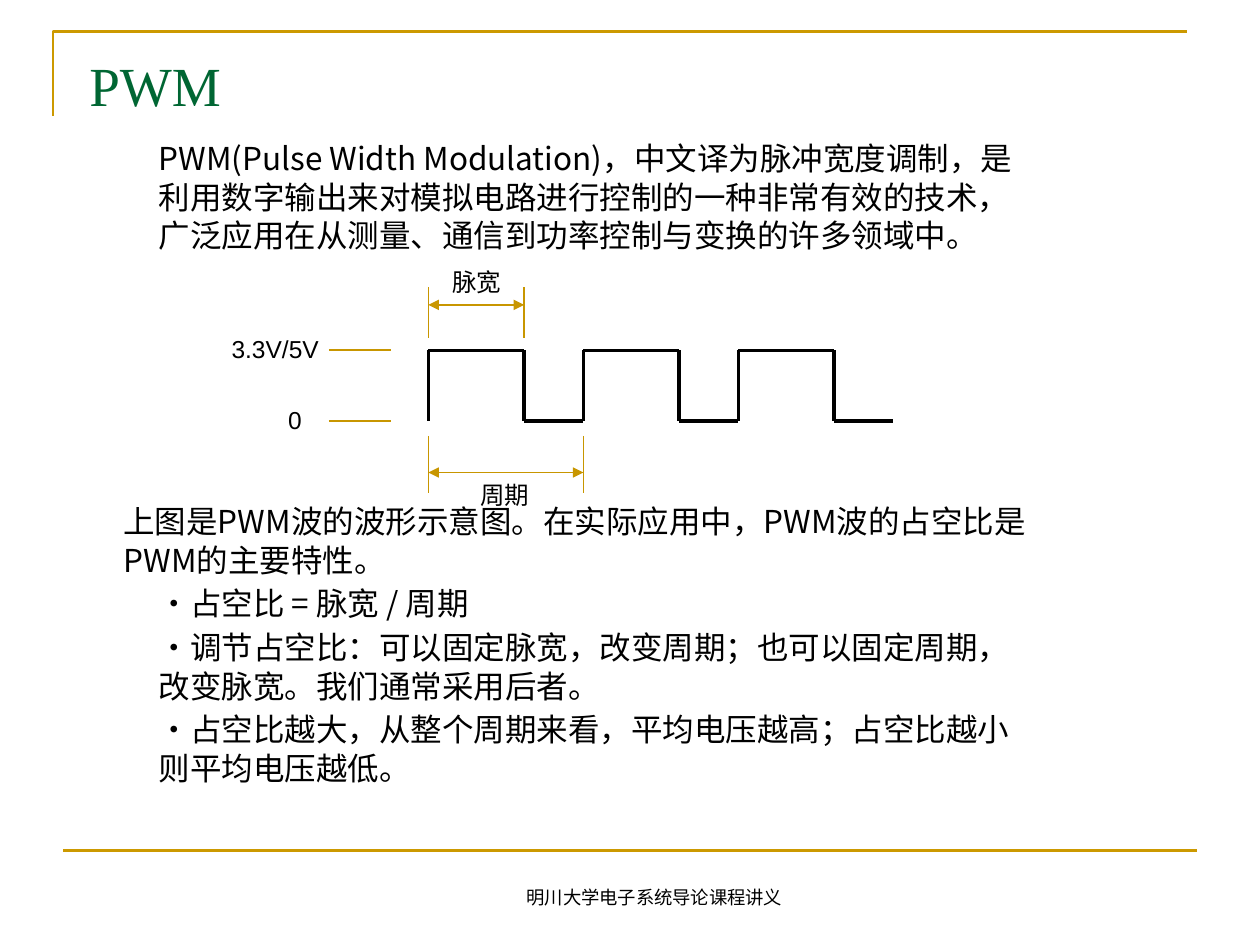
from lxml import etree
from pptx import Presentation
from pptx import util as u
from pptx.dml.color import RGBColor
from pptx.enum import shapes, text
from pptx.oxml.ns import qn

GOLD, AMBER, BLACK, GREEN = "CC9900", "C89600", "000000", "006633"
SANS, CJK, SERIF = "Arial", "Noto Sans CJK SC", "Times New Roman"

INTRO = ["PWM(Pulse Width Modulation)，中文译为脉冲宽度调制，是利用数字输出来对模拟电路进行控制的一种非常有效的技术，广泛应用在从测量、通信到功率控制与变换的许多领域中。"]
SUMMARY = ["上图是PWM波的波形示意图。在实际应用中，PWM波的占空比是PWM的主要特性。"]
POINTS = [
    "·占空比 = 脉宽 / 周期",
    "·调节占空比：可以固定脉宽，改变周期；也可以固定周期，改变脉宽。我们通常采用后者。",
    "·占空比越大，从整个周期来看，平均电压越高；占空比越小则平均电压越低。",
]


def color(value):
    return RGBColor.from_string(value)


class SlideBuilder:
    """Hold the slide and its style, and draw each kind of element."""

    def __init__(self, slide):
        self.slide = slide

    def line(self, x1, y1, x2, y2, stroke=AMBER, width=1, arrows=False):
        connector = self.slide.shapes.add_connector(
            shapes.MSO_CONNECTOR.STRAIGHT,
            u.Inches(x1), u.Inches(y1), u.Inches(x2), u.Inches(y2))
        connector.line.color.rgb = color(stroke)
        connector.line.width = u.Pt(width)
        if arrows:
            outline = connector.line._get_or_add_ln()
            for end in ("a:headEnd", "a:tailEnd"):
                etree.SubElement(outline, qn(end), type="triangle")
        etree.SubElement(connector._element.spPr, qn("a:effectLst"))

    def outline(self, points, stroke, width):
        start, *rest = [(u.Inches(x), u.Inches(y)) for x, y in points]
        builder = self.slide.shapes.build_freeform(*start)
        builder.add_line_segments(rest, close=False)
        shape = builder.convert_to_shape()
        shape.shadow.inherit = False
        shape.fill.background()
        shape.line.color.rgb = color(stroke)
        shape.line.width = u.Pt(width)

    def text(self, box, content, size, font=SANS, fill=BLACK,
             align=text.PP_ALIGN.CENTER, anchor=text.MSO_ANCHOR.MIDDLE):
        shape = self.slide.shapes.add_textbox(*map(u.Inches, box))
        frame = shape.text_frame
        frame.word_wrap = True
        frame.margin_left = frame.margin_right = 0
        frame.vertical_anchor = anchor
        frame.text = content
        for paragraph in frame.paragraphs:
            paragraph.alignment = align
            for run in paragraph.runs:
                run.font.size = u.Pt(size)
                run.font.name = font
                run.font.color.rgb = color(fill)
                east_asian = etree.Element(qn("a:ea"), typeface=font)
                run.font._element.find(qn("a:latin")).addnext(east_asian)
        return frame

    def body(self, top, height, flush, indented):
        frame = self.text((0.98, top, 7.18, height), "\n".join(flush + indented), 18, CJK,
                          align=text.PP_ALIGN.LEFT, anchor=text.MSO_ANCHOR.TOP)
        for index, paragraph in enumerate(frame.paragraphs):
            paragraph.line_spacing = u.Pt(22)
            paragraph.space_before = u.Pt(3)
            if index >= len(flush):
                paragraph._p.get_or_add_pPr().set("marL", str(u.Inches(0.28)))

    def waveform(self, left, high, low, pulse, period, count):
        for index in range(count):
            rise = left + index * period
            fall, end = rise + pulse, rise + period
            corners = [(rise, low), (rise, high), (fall, high), (fall, low), (end, low)]
            for start, stop in zip(corners, corners[1:]):
                self.line(*start, *stop, stroke=BLACK, width=2)

    def dimension(self, left, right, y, top, bottom):
        for x in (left, right):
            self.line(x, top, x, bottom)
        self.line(left, y, right, y, arrows=True)


def main():
    presentation = Presentation()
    presentation.slide_width, presentation.slide_height = u.Inches(10), u.Inches(7.5)
    builder = SlideBuilder(presentation.slides.add_slide(presentation.slide_layouts[6]))

    builder.outline([(0.42, 0.92), (0.42, 0.25), (9.42, 0.25)], GOLD, 1.5)
    builder.line(0.5, 6.75, 9.5, 6.75, GOLD, 1.5)
    builder.text((0.98, 6.98, 8.43, 0.28), "明川大学电子系统导论课程讲义", 10.5)
    builder.text((0.71, 0.36, 8.6, 0.87), "PWM", 31.5, SERIF, GREEN,
                 text.PP_ALIGN.LEFT, text.MSO_ANCHOR.TOP)
    builder.body(1.05, 1.1, [], INTRO)
    builder.body(3.93, 2.4, SUMMARY, POINTS)

    left, high, low, pulse, period = 3.4, 2.78, 3.34, 0.76, 1.23
    builder.waveform(left, high, low, pulse, period, 3)
    builder.dimension(left, left + pulse, 2.42, 2.28, 2.68)
    builder.dimension(left, left + period, 3.75, 3.46, 3.91)
    for level in (high, low):
        builder.line(2.61, level, 3.1, level)
    for box, label in [
        ((3.49, 2.07, 0.59, 0.33), "脉宽"),
        ((3.71, 3.76, 0.59, 0.33), "周期"),
        ((1.7, 2.6, 0.97, 0.34), "3.3V/5V"),
        ((2.17, 3.17, 0.34, 0.33), "0"),
    ]:
        builder.text(box, label, 14)

    presentation.save("out.pptx")


if __name__ == "__main__":
    main()
